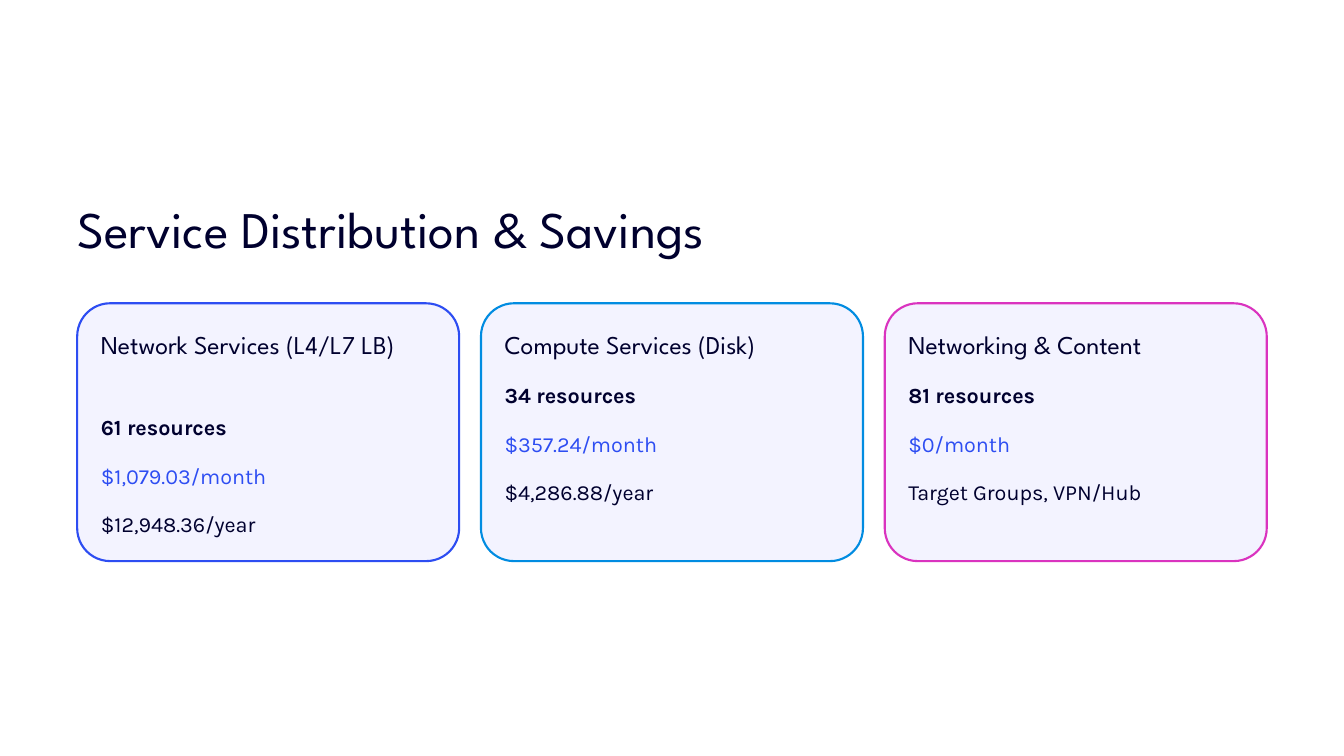
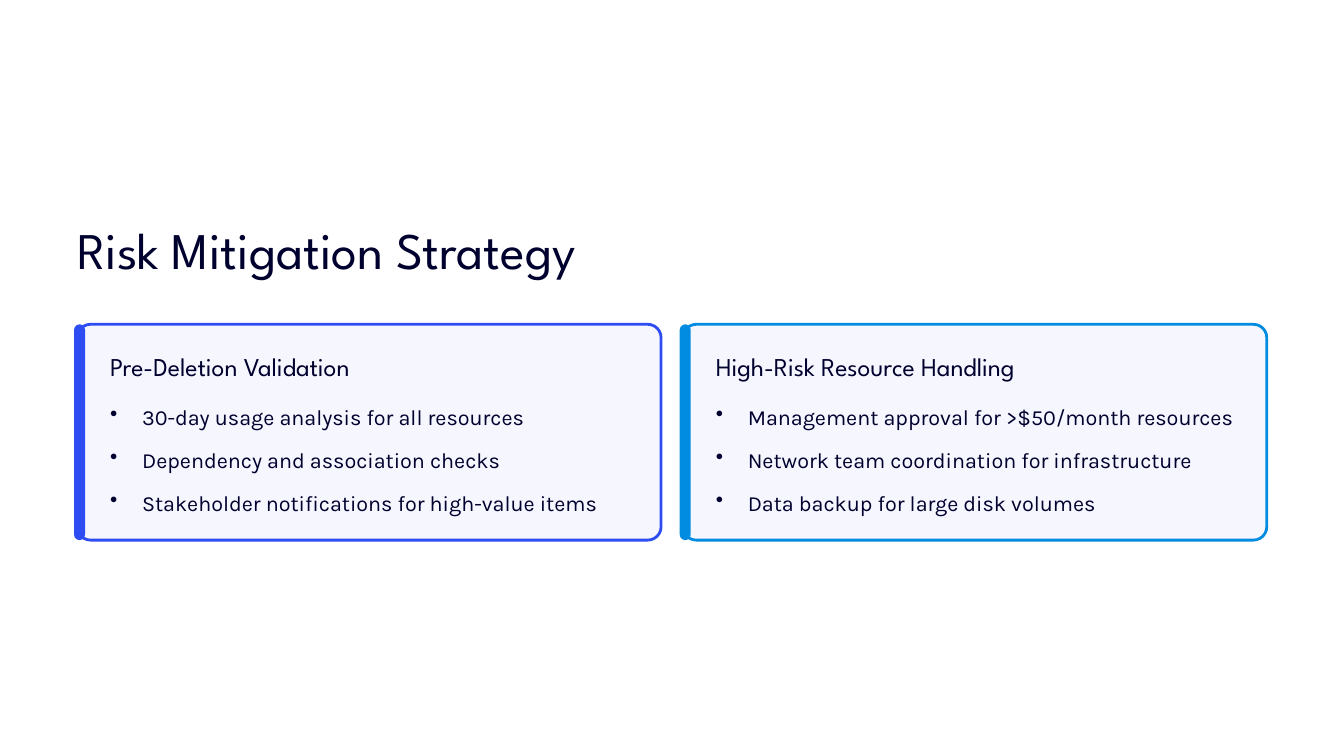
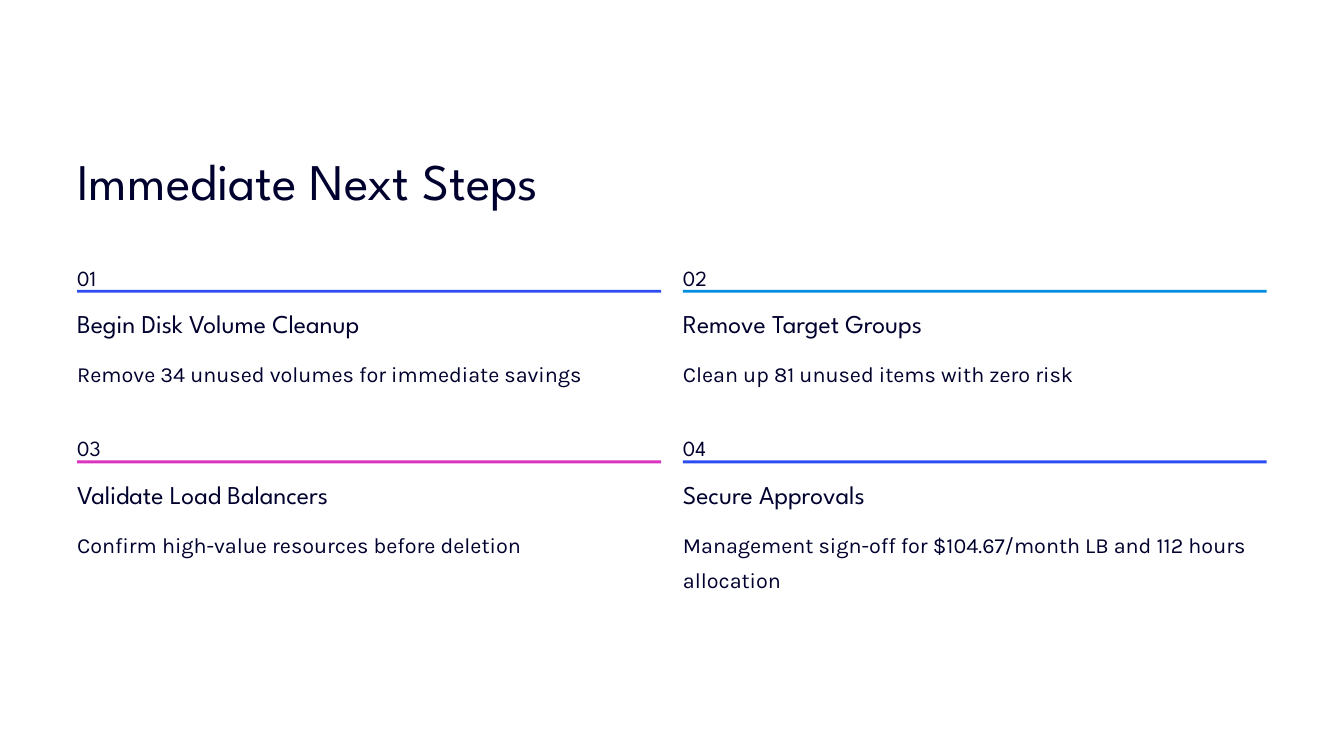
from dataclasses import dataclass
from typing import Any

from lxml.etree import SubElement
from pptx import Presentation
from pptx.dml.color import RGBColor
from pptx.enum.shapes import MSO_SHAPE
from pptx.enum.text import MSO_ANCHOR, MSO_AUTO_SIZE, PP_ALIGN
from pptx.oxml.ns import qn
from pptx.util import Pt

COLOURS = {
    "ink": "00002E",
    "panel": "F3F3FF",
    "blue": "2D4DF2",
    "azure": "018CE1",
    "magenta": "DA33BF",
}
HEADING_FONT, BODY_FONT = "League Spartan", "Karla"
LEFT, CONTENT_WIDTH, GAP = 66.2, 1019.6, 18.7
BULLET_INDENT = 27.4
FRAME_FORMAT = {
    "margin_left": 0, "margin_top": 0, "margin_right": 0, "margin_bottom": 0,
    "word_wrap": True, "auto_size": MSO_AUTO_SIZE.NONE,
    "vertical_anchor": MSO_ANCHOR.TOP,
}


@dataclass(frozen=True)
class Box:
    left: float
    top: float
    width: float
    height: float

    def lengths(self) -> tuple[Pt, Pt, Pt, Pt]:
        return Pt(self.left), Pt(self.top), Pt(self.width), Pt(self.height)


@dataclass(frozen=True)
class TextStyle:
    font: str
    size: float
    line: float
    gap: float = 0
    bulleted: bool = False


TITLE = TextStyle(HEADING_FONT, 44, 55)
HEADING = TextStyle(HEADING_FONT, 22, 27.5)
NUMBER = TextStyle(HEADING_FONT, 18.5, 30)
BODY = TextStyle(BODY_FONT, 18.5, 30)
FIGURES = TextStyle(BODY_FONT, 18.5, 30, gap=11.6)
BULLETS = TextStyle(BODY_FONT, 18.5, 30, gap=6.7, bulleted=True)


@dataclass(frozen=True)
class Line:
    text: str
    colour: str = "ink"
    bold: bool = False


@dataclass(frozen=True)
class ServiceCard:
    heading: str
    colour: str
    resources: str
    monthly: str
    detail: str
    heading_height: float = 27.5


@dataclass(frozen=True)
class RiskCard:
    heading: str
    colour: str
    measures: tuple[str, ...]


@dataclass(frozen=True)
class Step:
    heading: str
    colour: str
    detail: str


SERVICES = (
    ServiceCard("Network Services (L4/L7 LB)", "blue", "61 resources",
                "$1,079.03/month", "$12,948.36/year", heading_height=55),
    ServiceCard("Compute Services (Disk)", "azure", "34 resources",
                "$357.24/month", "$4,286.88/year"),
    ServiceCard("Networking & Content", "magenta", "81 resources",
                "$0/month", "Target Groups, VPN/Hub"),
)
RISKS = (
    RiskCard("Pre-Deletion Validation", "blue", (
        "30-day usage analysis for all resources",
        "Dependency and association checks",
        "Stakeholder notifications for high-value items")),
    RiskCard("High-Risk Resource Handling", "azure", (
        "Management approval for >$50/month resources",
        "Network team coordination for infrastructure",
        "Data backup for large disk volumes")),
)
STEPS = (
    Step("Begin Disk Volume Cleanup", "blue",
         "Remove 34 unused volumes for immediate savings"),
    Step("Remove Target Groups", "azure",
         "Clean up 81 unused items with zero risk"),
    Step("Validate Load Balancers", "magenta",
         "Confirm high-value resources before deletion"),
    Step("Secure Approvals", "blue",
         "Management sign-off for $104.67/month LB and 112 hours allocation"),
)


def rgb(colour: str) -> RGBColor:
    return RGBColor.from_string(COLOURS[colour])


def apply_format(target: Any, values: dict[str, Any]) -> None:
    for name, value in values.items():
        setattr(target, name, value)


def column(index: int, count: int) -> tuple[float, float]:
    """Return the left edge and width of one of several equal columns."""
    width = (CONTENT_WIDTH - GAP * (count - 1)) / count
    return LEFT + index * (width + GAP), width


def add_bullet(paragraph: Any) -> None:
    properties = paragraph._p.get_or_add_pPr()
    properties.set("marL", str(Pt(BULLET_INDENT)))
    properties.set("indent", str(-Pt(BULLET_INDENT)))
    SubElement(properties, qn("a:buChar"), char="•")


def fill_text(shape: Any, style: TextStyle, *lines: Line) -> None:
    frame = shape.text_frame
    apply_format(frame, FRAME_FORMAT)
    for index, line in enumerate(lines):
        paragraph = frame.add_paragraph() if index else frame.paragraphs[0]
        apply_format(paragraph, {
            "alignment": PP_ALIGN.LEFT,
            "line_spacing": Pt(style.line),
            "space_before": Pt(style.gap if index else 0),
        })
        if style.bulleted:
            add_bullet(paragraph)
        run = paragraph.add_run()
        run.text = line.text
        apply_format(run.font, {
            "name": style.font, "size": Pt(style.size), "bold": line.bold})
        run.font.color.rgb = rgb(line.colour)


def add_text(slide: Any, box: Box, style: TextStyle, *lines: Line) -> None:
    fill_text(slide.shapes.add_textbox(*box.lengths()), style, *lines)


def add_panel(slide: Any, kind: MSO_SHAPE, box: Box, fill: str,
              outline: str | None = None, weight: float = 0,
              corner: float | None = None, opacity: int = 100) -> None:
    shape = slide.shapes.add_shape(kind, *box.lengths())
    shape.shadow.inherit = False
    shape.fill.solid()
    shape.fill.fore_color.rgb = rgb(fill)
    if corner is not None:
        shape.adjustments[0] = corner
    if opacity < 100:
        colour = shape.element.spPr.find(f"{qn('a:solidFill')}/{qn('a:srgbClr')}")
        SubElement(colour, qn("a:alpha"), val=str(opacity * 1000))
    if outline:
        shape.line.color.rgb = rgb(outline)
        shape.line.width = Pt(weight)
    else:
        shape.line.fill.background()


def add_titled_slide(presentation: Any, title: str, top: float) -> Any:
    slide = presentation.slides.add_slide(presentation.slide_layouts[5])
    shape = slide.shapes.title
    box = Box(LEFT, top, CONTENT_WIDTH, TITLE.line)
    apply_format(shape, dict(zip(("left", "top", "width", "height"), box.lengths())))
    fill_text(shape, TITLE, Line(title))
    return slide


def build_services(presentation: Any) -> None:
    slide = add_titled_slide(presentation, "Service Distribution & Savings", 167)
    top, inset = 260, 20.2
    heading_top = top + 20.8
    for index, card in enumerate(SERVICES):
        left, width = column(index, len(SERVICES))
        text_left, text_width = left + inset, width - 2 * inset
        add_panel(slide, MSO_SHAPE.ROUNDED_RECTANGLE, Box(left, top, width, 221),
                  "panel", card.colour, 1.8, corner=0.128)
        add_text(slide, Box(text_left, heading_top, text_width, card.heading_height),
                 HEADING, Line(card.heading))
        add_text(slide,
                 Box(text_left, heading_top + card.heading_height + 11.4,
                     text_width, 113.2),
                 FIGURES, Line(card.resources, bold=True),
                 Line(card.monthly, "blue"), Line(card.detail))


def build_risks(presentation: Any) -> None:
    slide = add_titled_slide(presentation, "Risk Mitigation Strategy", 185)
    top, height, inset = 278, 185, 28.2
    for index, card in enumerate(RISKS):
        left, width = column(index, len(RISKS))
        text_left, text_width = left + inset, width - 1.75 * inset
        add_panel(slide, MSO_SHAPE.ROUNDED_RECTANGLE, Box(left, top, width, height),
                  "panel", card.colour, 2.4, corner=0.062, opacity=75)
        add_panel(slide, MSO_SHAPE.ROUNDED_RECTANGLE,
                  Box(left - 2.7, top, 9.4, height), card.colour, corner=0.5)
        add_text(slide, Box(text_left, top + 21.4, text_width, 27.5),
                 HEADING, Line(card.heading))
        add_text(slide, Box(text_left, top + 60.4, text_width, 103.4),
                 BULLETS, *map(Line, card.measures))


def build_steps(presentation: Any) -> None:
    slide = add_titled_slide(presentation, "Immediate Next Steps", 126)
    first_top, row_pitch, columns = 219, 146.2, 2
    for index, step in enumerate(STEPS):
        row, position = divmod(index, columns)
        left, width = column(position, columns)
        top = first_top + row * row_pitch
        add_text(slide, Box(left, top, 40, 24), NUMBER, Line(f"{index + 1:02}"))
        add_panel(slide, MSO_SHAPE.RECTANGLE, Box(left, top + 29.5, width, 2.4),
                  step.colour)
        add_text(slide, Box(left, top + 43.9, width, 27.5), HEADING,
                 Line(step.heading))
        add_text(slide, Box(left, top + 82.8, width, 60), BODY, Line(step.detail))


def main() -> None:
    presentation = Presentation()
    presentation.slide_width, presentation.slide_height = Pt(1152), Pt(648)
    build_services(presentation)
    build_risks(presentation)
    build_steps(presentation)
    presentation.save("out.pptx")


if __name__ == "__main__":
    main()
